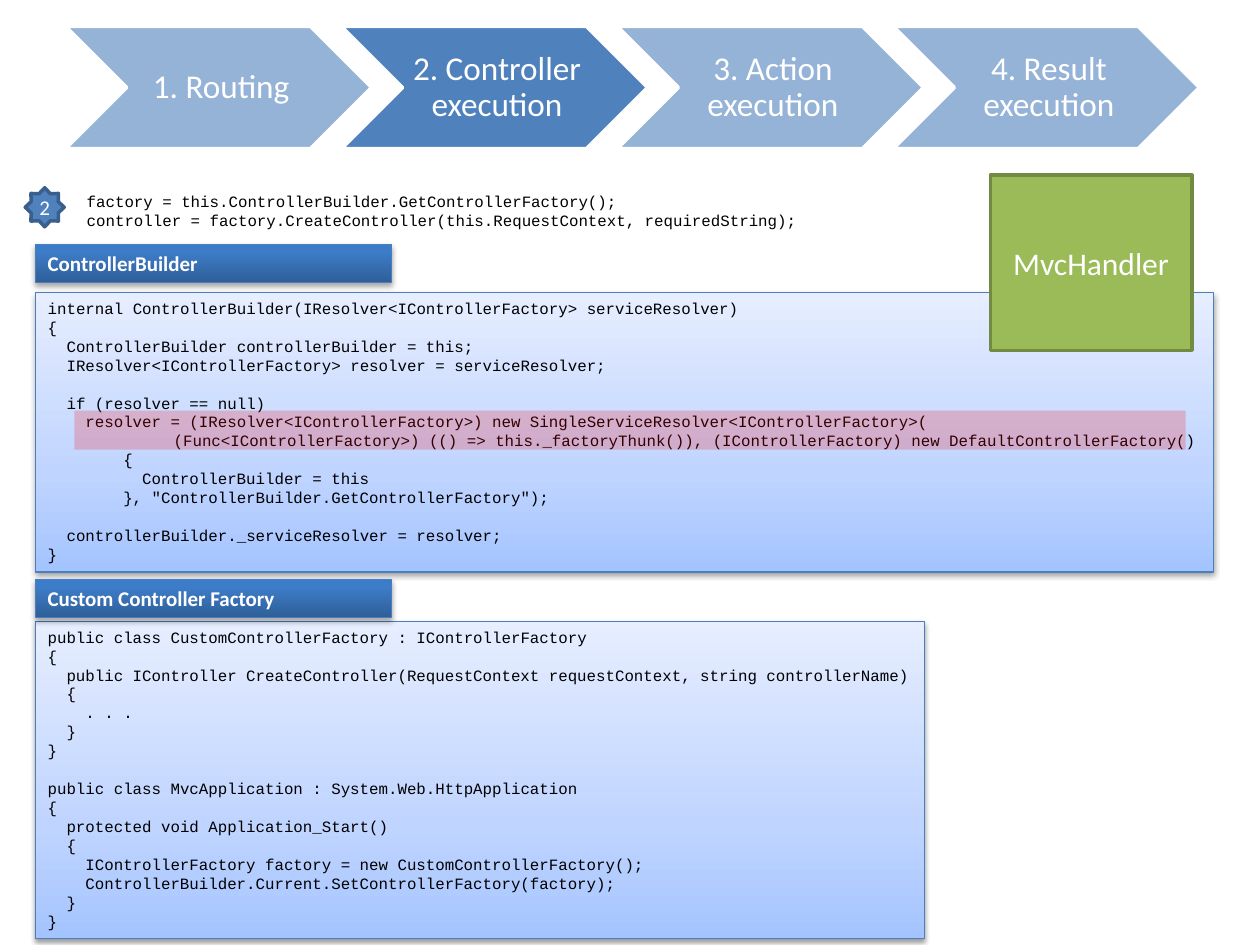
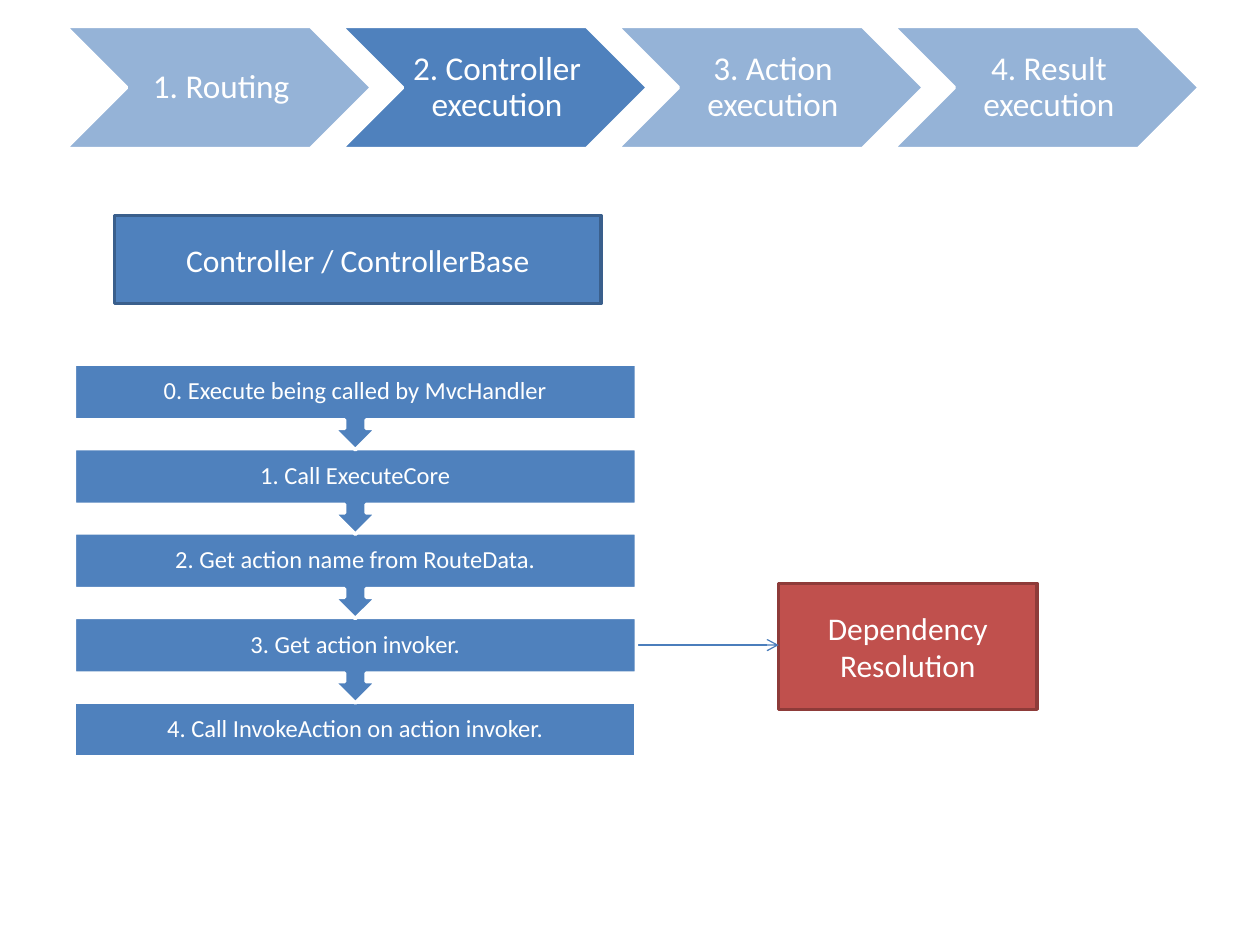
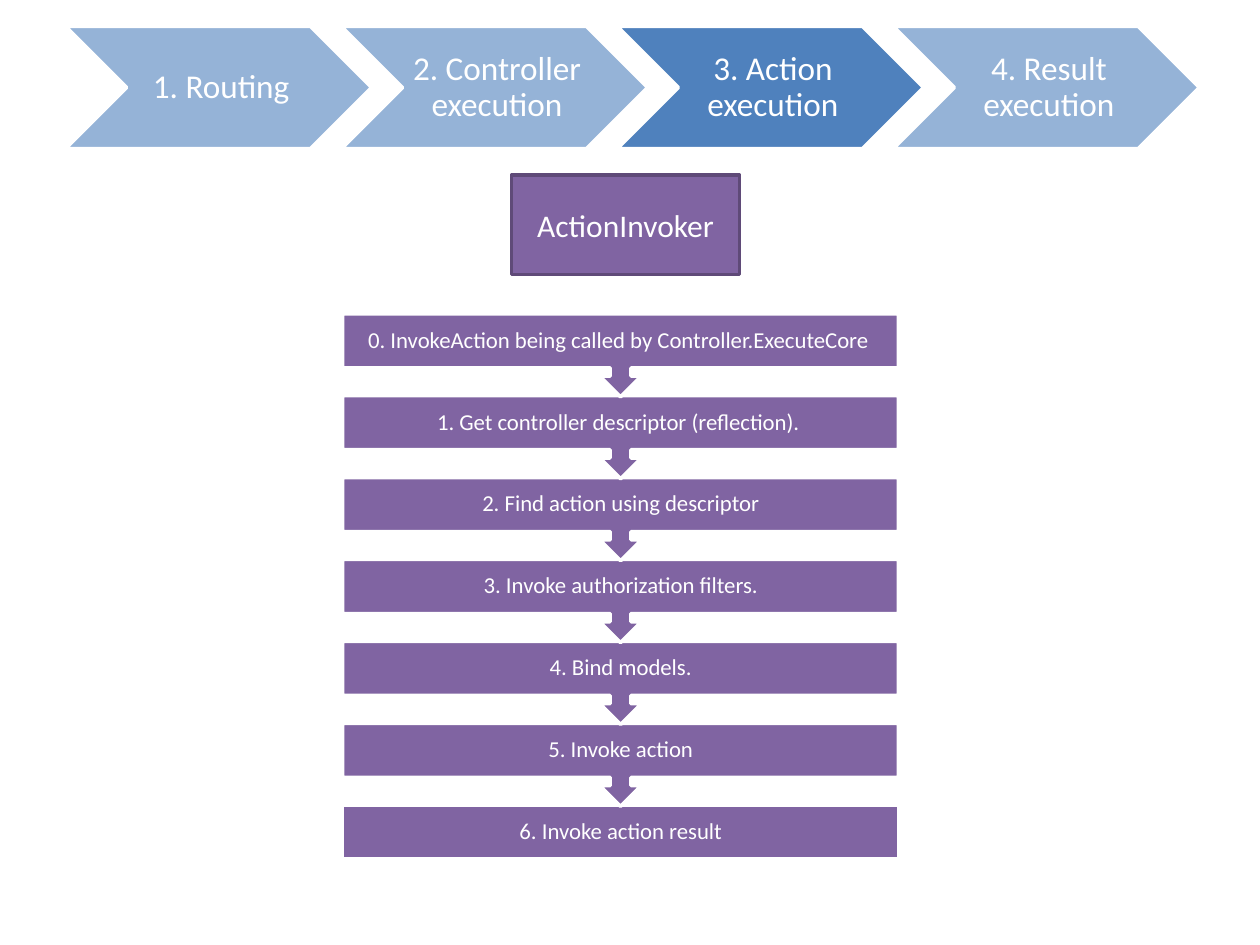
"""Build three slides on the MVC request pipeline: controller factory, controller steps and action steps."""
from lxml import etree
from pptx import Presentation, util as u
from pptx.dml.color import RGBColor
from pptx.enum import shapes, text
from pptx.oxml import ns

WHITE = RGBColor(0xFF, 0xFF, 0xFF)
BLACK = RGBColor(0, 0, 0)
BLUE = RGBColor(0x4F, 0x81, 0xBD)
PALE_BLUE = RGBColor(0x95, 0xB3, 0xD7)
DARK_BLUE = RGBColor(0x3A, 0x5F, 0x8C)
LINE_BLUE = RGBColor(0x4B, 0x7E, 0xBC)
GREEN = RGBColor(0x9B, 0xBB, 0x59)
DARK_GREEN = RGBColor(0x73, 0x8A, 0x42)
RED = RGBColor(0xC0, 0x50, 0x4D)
DARK_RED = RGBColor(0x8E, 0x3B, 0x39)
PURPLE = RGBColor(0x80, 0x64, 0xA2)
DARK_PURPLE = RGBColor(0x5F, 0x4A, 0x78)
HIGHLIGHT = RGBColor(0xFF, 0, 0)
HEADER_STOPS = [(0, RGBColor(0x2F, 0x5F, 0x99)), (80, RGBColor(0x3D, 0x7C, 0xC7)),
                (100, RGBColor(0x3A, 0x7C, 0xCB))]
CODE_STOPS = [(0, RGBColor(0xA4, 0xC4, 0xFF)), (35, RGBColor(0xBF, 0xD4, 0xFF)),
              (100, RGBColor(0xE6, 0xEE, 0xFF))]

BODY_FONT = "Calibri"
CODE_FONT = "Courier New"
CODE_LINE = u.Pt(10.8)
SHAPE = shapes.MSO_SHAPE


def add_box(s, kind, at, fill, line=None, width=2, words="", size=18):
    sp = s.shapes.add_shape(kind, *map(u.Inches, at))
    sp.shadow.inherit = False
    sp.fill.solid()
    sp.fill.fore_color.rgb = fill
    if line is None:
        sp.line.fill.background()
    else:
        sp.line.color.rgb = line
        sp.line.width = u.Pt(width)
    if words:
        write(sp, [(0, words)], size)
    return sp


def write(sp, lines, size, font=BODY_FONT, color=WHITE, align=text.PP_ALIGN.CENTER,
          anchor=text.MSO_ANCHOR.MIDDLE, bold=None, spacing=None, insets=None):
    tf = sp.text_frame
    tf.word_wrap = True
    tf.vertical_anchor = anchor
    if insets:
        tf.margin_left, tf.margin_top, tf.margin_right, tf.margin_bottom = map(u.Inches, insets)
    p, gap = tf.paragraphs[0], False
    for i, (indent, words) in enumerate(lines):
        if not words:
            gap = True
            continue
        if i:
            p = tf.add_paragraph()
        p.text = words
        p.alignment = align
        p.line_spacing = spacing
        if gap:
            p.space_before = CODE_LINE
            gap = False
        if indent:
            p._p.get_or_add_pPr().set("marL", str(u.Inches(indent)))
        r = p.runs[0]
        r.font.name, r.font.size, r.font.bold = font, u.Pt(size), bold
        r.font.color.rgb = color


prs = Presentation()
prs.slide_width, prs.slide_height = u.Inches(10), u.Inches(7.5)

STAGES = ["1. Routing", "2. Controller execution", "3. Action execution", "4. Result execution"]
for active in (1, 1, 2):
    s = prs.slides.add_slide(prs.slide_layouts[6])
    for i, stage in enumerate(STAGES):
        left = 0.52 + 2.19 * i
        add_box(s, SHAPE.CHEVRON, (left, 0.21, 2.43, 0.97), BLUE if i == active else PALE_BLUE, WHITE)
        tb = s.shapes.add_textbox(*map(u.Inches, (left + 0.48, 0.21, 1.46, 0.97)))
        write(tb, [(0, stage)], 19, spacing=0.9, insets=(0.08, 0.03, 0.03, 0.03))
factory_slide, controller_slide, action_slide = prs.slides

s = factory_slide
CALLS = [
    (0, "factory = this.ControllerBuilder.GetControllerFactory();"),
    (0, "controller = factory.CreateController(this.RequestContext, requiredString);"),
]
BUILDER_CODE = [
    (0, "internal ControllerBuilder(IResolver<IControllerFactory> serviceResolver)"),
    (0, "{"),
    (0.15, "ControllerBuilder controllerBuilder = this;"),
    (0.15, "IResolver<IControllerFactory> resolver = serviceResolver;"),
    (0, ""),
    (0.15, "if (resolver == null)"),
    (0.3, "resolver = (IResolver<IControllerFactory>) new SingleServiceResolver<IControllerFactory>("),
    (1, "(Func<IControllerFactory>) (() => this._factoryThunk()), "
        "(IControllerFactory) new DefaultControllerFactory()"),
    (0.6, "{"),
    (0.75, "ControllerBuilder = this"),
    (0.6, "}, \"ControllerBuilder.GetControllerFactory\");"),
    (0, ""),
    (0.15, "controllerBuilder._serviceResolver = resolver;"),
    (0, "}"),
]
FACTORY_CODE = [
    (0, "public class CustomControllerFactory : IControllerFactory"),
    (0, "{"),
    (0.15, "public IController CreateController(RequestContext requestContext, string controllerName)"),
    (0.15, "{"),
    (0.3, ". . ."),
    (0.15, "}"),
    (0, "}"),
    (0, ""),
    (0, "public class MvcApplication : System.Web.HttpApplication"),
    (0, "{"),
    (0.15, "protected void Application_Start()"),
    (0.15, "{"),
    (0.3, "IControllerFactory factory = new CustomControllerFactory();"),
    (0.3, "ControllerBuilder.Current.SetControllerFactory(factory);"),
    (0.15, "}"),
    (0, "}"),
]
code_style = dict(size=9, font=CODE_FONT, color=BLACK, align=text.PP_ALIGN.LEFT,
                  anchor=text.MSO_ANCHOR.TOP, insets=(0.1, 0.05, 0, 0.05))
header_style = dict(size=12, bold=True, align=text.PP_ALIGN.LEFT, anchor=text.MSO_ANCHOR.TOP)
tb = s.shapes.add_textbox(*map(u.Inches, (0.59, 1.47, 6.54, 0.4)))
write(tb, CALLS, **code_style)
star = add_box(s, SHAPE.STAR_8_POINT, (0.2, 1.49, 0.31, 0.31), BLUE, DARK_BLUE)
write(star, [(0, "2")], 12, insets=(0, 0, 0, 0))

PANELS = [
    ((0.28, 1.94, 2.83, 0.3), HEADER_STOPS, 35, [(0, "ControllerBuilder")], header_style),
    ((0.28, 2.32, 9.35, 2.22), CODE_STOPS, 38, BUILDER_CODE, code_style),
    ((0.28, 4.93, 7.06, 2.52), CODE_STOPS, 38, FACTORY_CODE, code_style),
    ((0.28, 4.6, 2.83, 0.3), HEADER_STOPS, 35, [(0, "Custom Controller Factory")], header_style),
]
for at, stops, opacity, lines, style in PANELS:
    sp = add_box(s, SHAPE.RECTANGLE, at, BLUE, LINE_BLUE, 0.75)
    sp.fill.gradient()
    sp.fill.gradient_angle = 90
    spPr = sp._element.spPr
    gsLst = spPr.find(ns.qn("a:gradFill")).find(ns.qn("a:gsLst"))
    for gs in list(gsLst):
        gsLst.remove(gs)
    for position, color in stops:
        gs = etree.SubElement(gsLst, ns.qn("a:gs"), pos=str(position * 1000))
        etree.SubElement(gs, ns.qn("a:srgbClr"), val=str(color))
    shadow = etree.SubElement(spPr.find(ns.qn("a:effectLst")), ns.qn("a:outerShdw"),
                              blurRad=str(u.Pt(3.1)), dist=str(u.Pt(1.7)), dir="5400000",
                              rotWithShape="0")
    clr = etree.SubElement(shadow, ns.qn("a:srgbClr"), val=str(BLACK))
    etree.SubElement(clr, ns.qn("a:alpha"), val=str(opacity * 1000))
    write(sp, lines, **style)

sp = add_box(s, SHAPE.RECTANGLE, (0.59, 3.26, 8.82, 0.31), HIGHLIGHT)
clr = sp._element.spPr.find(ns.qn("a:solidFill"))[0]
etree.SubElement(clr, ns.qn("a:alpha"), val="20000")
add_box(s, SHAPE.RECTANGLE, (7.86, 1.39, 1.6, 1.39), GREEN, DARK_GREEN, words="MvcHandler")

s = controller_slide
add_box(s, SHAPE.RECTANGLE, (0.91, 1.71, 3.86, 0.7), BLUE, DARK_BLUE,
        words="Controller / ControllerBase")
add_box(s, SHAPE.RECTANGLE, (6.18, 4.63, 2.05, 1), RED, DARK_RED, words="Dependency Resolution")
cx = s.shapes.add_connector(shapes.MSO_CONNECTOR.STRAIGHT,
                            *map(u.Inches, (4.37, 5.12, 6.18, 5.12)))
cx.line.color.rgb = LINE_BLUE
cx.line.width = u.Pt(0.75)
etree.SubElement(cx.line._get_or_add_ln(), ns.qn("a:tailEnd"), type="arrow")
etree.SubElement(cx._element.spPr, ns.qn("a:effectLst"))

add_box(action_slide, SHAPE.RECTANGLE, (4.06, 1.39, 1.81, 0.79), PURPLE, DARK_PURPLE,
        words="ActionInvoker")

CONTROLLER_STEPS = [
    "0. Execute being called by MvcHandler",
    "1. Call ExecuteCore",
    "2. Get action name from RouteData.",
    "3. Get action invoker.",
    "4. Call InvokeAction on action invoker.",
]
ACTION_STEPS = [
    "0. InvokeAction being called by Controller.ExecuteCore ",
    "1. Get controller descriptor (reflection). ",
    "2. Find action using descriptor",
    "3. Invoke authorization filters.",
    "4. Bind models.",
    "5. Invoke action",
    "6. Invoke action result",
]
FLOWS = [
    (controller_slide, CONTROLLER_STEPS, BLUE, 14, 0.59, 2.89, 4.46, 0.44, 0.67),
    (action_slide, ACTION_STEPS, PURPLE, 13, 2.72, 2.49, 4.41, 0.43, 0.65),
]
for s, steps, color, size, left, top, width, height, pitch in FLOWS:
    last = len(steps) - 1
    for i in range(last, -1, -1):
        y = top + pitch * i
        if i == last:
            add_box(s, SHAPE.RECTANGLE, (left, y, width, height), color, WHITE)
        else:
            sp = add_box(s, SHAPE.UP_ARROW_CALLOUT, (left, y, width, pitch + 0.01), color, WHITE)
            sp.rotation = 180
        tb = s.shapes.add_textbox(*map(u.Inches, (left, y, width, height)))
        write(tb, [(0, steps[i])], size, spacing=0.9, insets=(0.1, 0.1, 0.1, 0.1))

prs.save("out.pptx")
